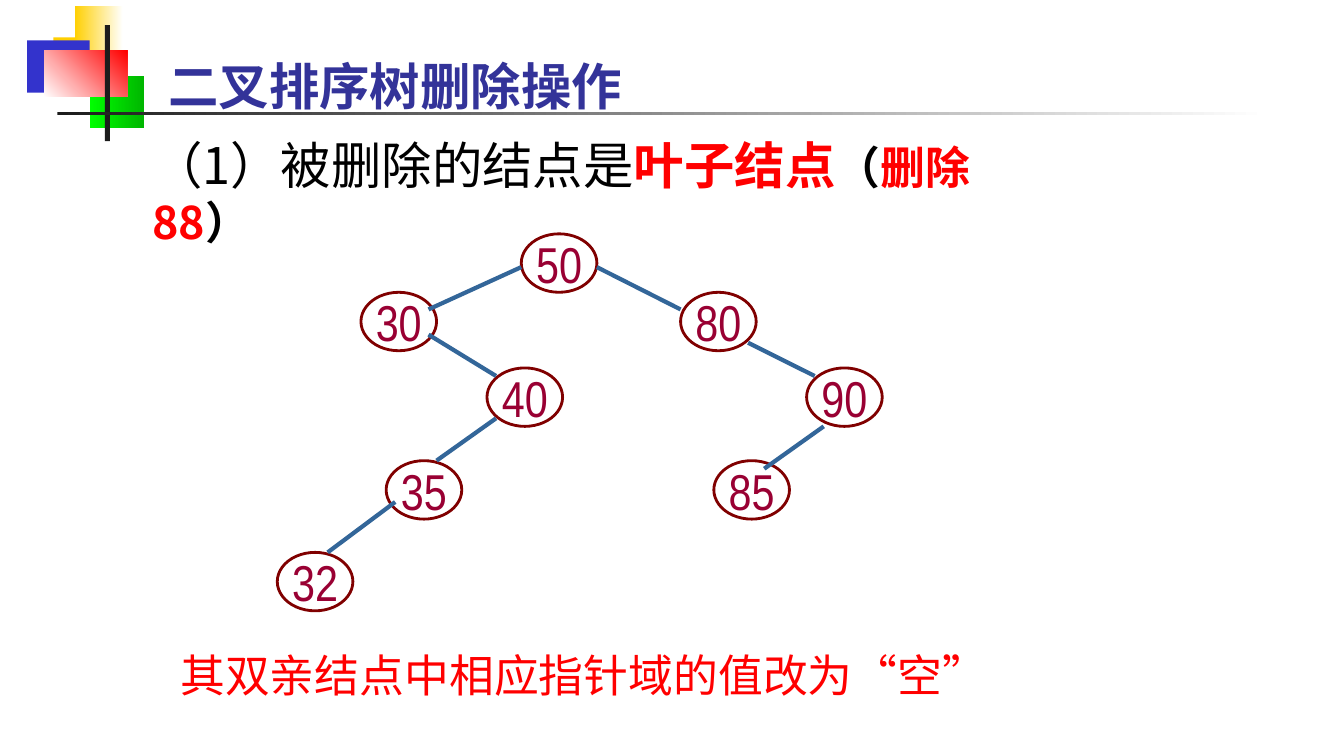
from dataclasses import dataclass
from typing import NamedTuple

from lxml.etree import SubElement
from pptx import Presentation
from pptx.dml.color import RGBColor
from pptx.enum.shapes import MSO_CONNECTOR as Connector, MSO_SHAPE as Preset
from pptx.enum.text import MSO_ANCHOR as Anchor, PP_ALIGN as Align
from pptx.oxml.ns import qn
from pptx.util import Inches, Pt


@dataclass(frozen=True)
class Theme:
    latin: str = "Arial Narrow"
    chinese: str = "Noto Sans CJK SC"
    large: int = 36
    medium: int = 32
    title: str = "333399"
    black: str = "000000"
    red: str = "FF0000"
    key: str = "990033"
    node_line: str = "800000"
    edge: str = "336699"
    yellow: str = "FFCF01"
    blue: str = "3333CC"
    lime: str = "00FF00"
    green: str = "00B600"
    white: str = "FFFFFF"
    dark: str = "1C1C1C"


THEME = Theme()
NODE_WIDTH, NODE_HEIGHT = 0.75, 0.58


class Block(NamedTuple):
    left: float
    top: float
    width: float
    height: float
    color: str
    fade_to: str = ""
    angle: int = 0


class Node(NamedTuple):
    key: int
    left: float
    top: float


class Edge(NamedTuple):
    x1: float
    y1: float
    x2: float
    y2: float


class Phrase(NamedTuple):
    text: str
    color: str
    size: int = THEME.large
    bold: bool = False


ORNAMENT = [
    Block(0.53, 0.37, 0.64, 0.52, THEME.yellow),
    Block(0.74, 0.06, 0.48, 0.52, THEME.yellow, THEME.white),
    Block(0.27, 0.4, 0.62, 0.52, THEME.blue),
    Block(0.89, 0.75, 0.54, 0.52, THEME.lime, THEME.green),
    Block(0.44, 0.5, 0.82, 0.46, THEME.white, THEME.red, 45),
    Block(1.04, 0.25, 0.05, 1.15, THEME.dark),
    Block(0.57, 1.11, 12, 0.03, THEME.dark, THEME.white),
]
NODES = [
    Node(50, 5.17, 2.32),
    Node(30, 3.58, 2.9),
    Node(80, 6.75, 2.9),
    Node(40, 4.83, 3.65),
    Node(90, 8, 3.65),
    Node(35, 3.83, 4.57),
    Node(85, 7.08, 4.57),
    Node(32, 2.75, 5.48),
]
EDGES = [
    Edge(5.17, 2.65, 4.25, 3.07),
    Edge(5.92, 2.65, 6.75, 3.07),
    Edge(4.25, 3.32, 4.92, 3.73),
    Edge(7.42, 3.4, 8.08, 3.73),
    Edge(4.92, 4.15, 4.33, 4.57),
    Edge(8.17, 4.23, 7.58, 4.65),
    Edge(3.92, 4.98, 3.25, 5.48),
]
TITLE = [Phrase("二叉排序树删除操作", THEME.title, bold=True)]
CASE = [
    Phrase("（1）被删除的结点是", THEME.black),
    Phrase("叶子结点", THEME.red, bold=True),
    Phrase("（", THEME.black, THEME.medium, True),
    Phrase("删除88", THEME.red, THEME.medium, True),
    Phrase("）", THEME.black, THEME.medium, True),
]
RESULT = [Phrase("其双亲结点中相应指针域的值改为“空”", THEME.red, THEME.medium)]


def rgb(color: str) -> RGBColor:
    return RGBColor.from_string(color)


def style_font(font, phrase: Phrase, latin: str) -> None:
    font.size, font.bold = Pt(phrase.size), phrase.bold
    font.color.rgb = rgb(phrase.color)
    font.name = latin


def set_chinese_font(properties) -> None:
    """Name the East Asian typeface, which must follow the Latin one."""
    SubElement(properties, qn("a:ea"), typeface=THEME.chinese)


def add_block(slide, block: Block) -> None:
    shape = slide.shapes.add_shape(Preset.RECTANGLE, *map(Inches, block[:4]))
    shape.shadow.inherit = False
    shape.line.fill.background()
    if not block.fade_to:
        shape.fill.solid()
        shape.fill.fore_color.rgb = rgb(block.color)
        return
    shape.fill.gradient()
    shape.fill.gradient_angle = block.angle
    for position, (stop, color) in enumerate(
            zip(shape.fill.gradient_stops, (block.color, block.fade_to))):
        stop.position = position
        stop.color.rgb = rgb(color)


def add_node(slide, node: Node) -> None:
    oval = slide.shapes.add_shape(
        Preset.OVAL, Inches(node.left), Inches(node.top),
        Inches(NODE_WIDTH), Inches(NODE_HEIGHT))
    oval.shadow.inherit = False
    oval.fill.background()
    oval.line.color.rgb = rgb(THEME.node_line)
    oval.line.width = Pt(2)
    frame = oval.text_frame
    frame.word_wrap = False
    frame.vertical_anchor = Anchor.MIDDLE
    label = frame.paragraphs[0]
    label.text = str(node.key)
    label.alignment = Align.CENTER
    style_font(label.font, Phrase(label.text, THEME.key), THEME.latin)


def add_edge(slide, edge: Edge) -> None:
    line = slide.shapes.add_connector(Connector.STRAIGHT, *map(Inches, edge))
    line.line.color.rgb = rgb(THEME.edge)
    line.line.width = Pt(3)
    SubElement(line._element.spPr, qn("a:effectLst"))


def add_text(slide, left: float, top: float, width: float, height: float,
             phrases: list[Phrase], latin: str = THEME.chinese,
             wrap: bool = True, anchor: Anchor = Anchor.TOP) -> None:
    box = slide.shapes.add_textbox(*map(Inches, (left, top, width, height)))
    frame = box.text_frame
    frame.word_wrap = wrap
    frame.vertical_anchor = anchor
    paragraph = frame.paragraphs[0]
    for phrase in phrases:
        run = paragraph.add_run()
        run.text = phrase.text
        if len(phrases) > 1:
            style_font(run.font, phrase, latin)
            set_chinese_font(run._r.get_or_add_rPr())
    if len(phrases) == 1:
        style_font(paragraph.font, phrases[0], latin)
        set_chinese_font(paragraph._p.pPr.find(qn("a:defRPr")))


def main() -> None:
    deck = Presentation()
    deck.slide_width, deck.slide_height = Inches(13.33), Inches(7.5)
    slide = deck.slides.add_slide(deck.slide_layouts[6])
    for block in ORNAMENT:
        add_block(slide, block)
    for node in NODES:
        add_node(slide, node)
    for edge in EDGES:
        add_edge(slide, edge)
    add_text(slide, 1.41, 1.28, 9.15, 0.71, CASE)
    add_text(slide, 1.69, 6.38, 8.28, 0.64, RESULT, wrap=False)
    add_text(slide, 1.57, 0.37, 11.36, 0.83, TITLE, THEME.latin,
             anchor=Anchor.BOTTOM)
    deck.save("out.pptx")


if __name__ == "__main__":
    main()
